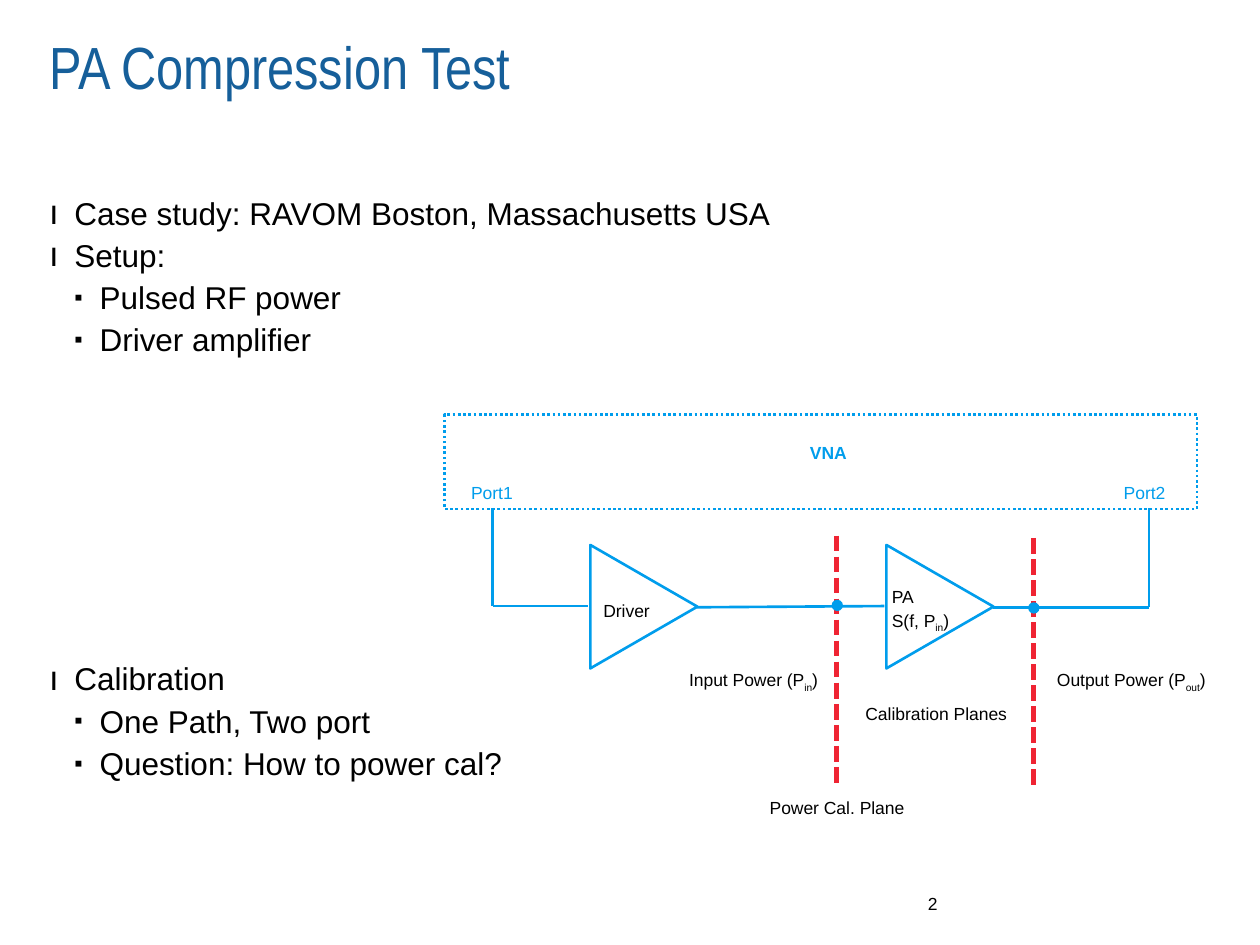
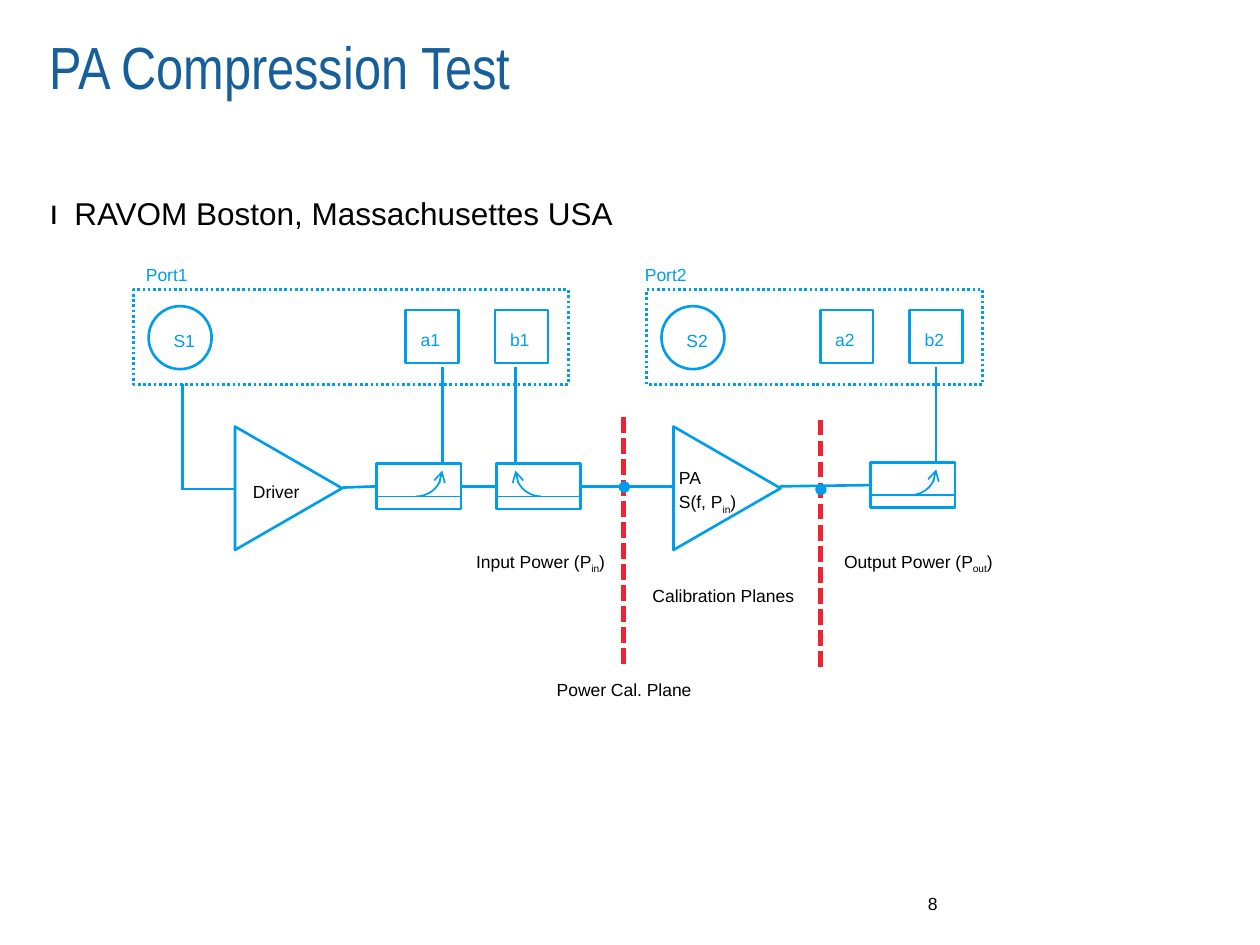
from dataclasses import dataclass

from lxml import etree
from pptx import Presentation
from pptx.dml.color import RGBColor
from pptx.enum.dml import MSO_LINE_DASH_STYLE
from pptx.enum.shapes import MSO_CONNECTOR, MSO_SHAPE
from pptx.enum.text import MSO_ANCHOR, MSO_AUTO_SIZE, PP_ALIGN
from pptx.oxml.ns import qn
from pptx.shapes.autoshape import Shape
from pptx.shapes.connector import Connector
from pptx.slide import Slide
from pptx.text.text import TextFrame
from pptx.util import Inches, Pt

# Shared style
BLUE, RED, NAVY = "009DEC", "EF2433", "165F9A"
BLACK, WHITE = "000000", "FFFFFF"
BODY_FONT, TITLE_FONT = "Arial", "Arial Narrow"
LINE_SPACING = 1.12
DOTTED = MSO_LINE_DASH_STYLE.ROUND_DOT
DASHED = MSO_LINE_DASH_STYLE.SQUARE_DOT
STRAIGHT = MSO_CONNECTOR.STRAIGHT
RECTANGLE, ELLIPSE = MSO_SHAPE.RECTANGLE, MSO_SHAPE.OVAL
TRIANGLE, ARC = MSO_SHAPE.ISOSCELES_TRIANGLE, MSO_SHAPE.ARC
TOP, RIGHT_ALIGN, LEFT_ALIGN = MSO_ANCHOR.TOP, PP_ALIGN.RIGHT, PP_ALIGN.LEFT
NO_AUTOFIT = MSO_AUTO_SIZE.NONE
LEFT_SIDE, RIGHT_SIDE = 1, 3

# Bullet character and size in percent for each list level
BULLETS = (("ı", 110), ("▪", 75))
INDENT = 0.2


@dataclass(frozen=True)
class ListItem:
    text: str
    level: int = 0
    gap_before: float = 0


@dataclass(frozen=True)
class Label:
    text: str
    left: float
    top: float
    width: float
    height: float = 0.28
    color: str = BLACK
    bold: bool = False
    subscript: str = ""


@dataclass(frozen=True)
class Port:
    number: int
    left: float
    width: float
    label_left: float


@dataclass(frozen=True)
class Coupler:
    left: float
    top: float
    mirrored: bool = False


def rgb(color: str) -> RGBColor:
    return RGBColor.from_string(color)


def format_runs(frame: TextFrame, size: float, color: str,
                font: str = BODY_FONT, bold: bool = False) -> None:
    for paragraph in frame.paragraphs:
        for run in paragraph.runs:
            run.font.name = font
            run.font.size = Pt(size)
            run.font.bold = bold
            run.font.color.rgb = rgb(color)


def set_margins(frame: TextFrame) -> None:
    frame.margin_left = frame.margin_right = 0
    frame.margin_top = frame.margin_bottom = 0


def place_placeholder(shape: Shape, top: float, height: float) -> TextFrame:
    shape.left, shape.top = Inches(0.39), Inches(top)
    shape.width, shape.height = Inches(9.06), Inches(height)
    frame = shape.text_frame
    set_margins(frame)
    frame.vertical_anchor = TOP
    frame.auto_size = NO_AUTOFIT
    return frame


def add_page(deck: Presentation, items: list[ListItem], number: int) -> Slide:
    slide = deck.slides.add_slide(deck.slide_layouts[1])

    # Title
    title = place_placeholder(slide.shapes.title, 0.24, 1.18)
    title.text = "PA Compression Test"
    title.paragraphs[0].alignment = LEFT_ALIGN
    format_runs(title, 34, NAVY, TITLE_FONT)

    # Bullet list
    body = place_placeholder(slide.placeholders[1], 1.5, 5.12)
    body.text = "\n".join(item.text for item in items)
    for paragraph, item in zip(body.paragraphs, items):
        paragraph.level = item.level
        paragraph.line_spacing = LINE_SPACING
        paragraph.space_before = Pt(item.gap_before)
        paragraph.space_after = Pt(0)
        character, percent = BULLETS[item.level]
        properties = paragraph._p.get_or_add_pPr()
        properties.set("marL", str(Inches(INDENT * (item.level + 1))))
        properties.set("indent", str(Inches(-INDENT)))
        etree.SubElement(properties, qn("a:buSzPct"), val=str(percent * 1000))
        etree.SubElement(properties, qn("a:buFont"), typeface=BODY_FONT)
        etree.SubElement(properties, qn("a:buChar"), char=character)
    format_runs(body, 18, BLACK)

    # Page number
    page = slide.shapes.add_textbox(
        Inches(6.89), Inches(7.09), Inches(0.55), Inches(0.2)).text_frame
    set_margins(page)
    page.word_wrap = True
    page.text = str(number)
    page.paragraphs[0].alignment = RIGHT_ALIGN
    format_runs(page, 10, BLACK)
    return slide


def add_label(slide: Slide, label: Label) -> None:
    frame = slide.shapes.add_textbox(
        Inches(label.left), Inches(label.top),
        Inches(label.width), Inches(label.height)).text_frame
    frame.word_wrap = True
    paragraph = frame.paragraphs[0]
    paragraph.text = label.text
    paragraph.line_spacing = LINE_SPACING
    paragraph.space_after = Pt(6)
    for line_break in paragraph._p.findall(qn("a:br")):
        etree.SubElement(line_break, qn("a:rPr"), sz="1000")
    if label.subscript:
        lowered, closing = paragraph.add_run(), paragraph.add_run()
        lowered.text, closing.text = label.subscript, ")"
        lowered.font._element.set("baseline", "-25000")
    format_runs(frame, 10, label.color, bold=label.bold)


def add_outline(slide: Slide, kind: MSO_SHAPE, left: float, top: float,
                width: float, height: float, fill: str | None = None,
                line: str | None = BLUE, weight: float = 1.5,
                dash: MSO_LINE_DASH_STYLE | None = None) -> Shape:
    shape = slide.shapes.add_shape(
        kind, Inches(left), Inches(top), Inches(width), Inches(height))
    shape.shadow.inherit = False
    if fill:
        shape.fill.solid()
        shape.fill.fore_color.rgb = rgb(fill)
    else:
        shape.fill.background()
    if line:
        shape.line.color.rgb = rgb(line)
        shape.line.width = Pt(weight)
        shape.line.dash_style = dash
    else:
        shape.line.fill.background()
    return shape


def add_wire(slide: Slide, x1: float, y1: float, x2: float, y2: float,
             color: str = BLUE, weight: float = 1.5,
             dash: MSO_LINE_DASH_STYLE | None = None) -> Connector:
    wire = slide.shapes.add_connector(
        STRAIGHT, Inches(x1), Inches(y1), Inches(x2), Inches(y2))
    wire.line.color.rgb = rgb(color)
    wire.line.width = Pt(weight)
    wire.line.dash_style = dash
    etree.SubElement(wire._element.spPr, qn("a:effectLst"))
    return wire


def add_amplifier(slide: Slide, left: float, top: float, label: Label) -> None:
    add_outline(slide, TRIANGLE, left, top, 0.98, 0.85, fill=WHITE).rotation = 90
    add_label(slide, label)


def add_driver(slide: Slide, left: float, top: float, label_left: float) -> None:
    add_amplifier(slide, left, top,
                  Label("Driver", label_left, top + 0.3, 0.7, 0.24))


def add_pa_stage(slide: Slide, x: float, y: float) -> None:
    """Draw the PA and its planes; x, y is the top of the input plane."""
    add_amplifier(slide, x + 0.33, y + 0.14,
                  Label("PA\nS(f, P", x + 0.34, y + 0.33, 0.81, 0.48,
                        subscript="in"))
    for plane_x, plane_y in ((x, y), (x + 1.56, y + 0.02)):
        add_wire(slide, plane_x, plane_y, plane_x, plane_y + 1.99, RED, 3, DASHED)
        add_outline(slide, ELLIPSE, plane_x - 0.04, plane_y + 0.51, 0.09, 0.09,
                    fill=BLUE, line=None)
    for label in (
        Label("Input Power (P", x - 1.27, y + 0.99, 1.28, subscript="in"),
        Label("Output Power (P", x + 1.65, y + 0.99, 1.68, subscript="out"),
        Label("Calibration Planes", x + 0.13, y + 1.26, 1.39),
        Label("Power Cal. Plane", x - 0.63, y + 2.01, 1.28),
    ):
        add_label(slide, label)


def add_port(slide: Slide, port: Port) -> None:
    add_outline(slide, RECTANGLE, port.left, 2.3, port.width, 0.75, dash=DOTTED)
    add_label(slide, Label(f"Port{port.number}", port.label_left, 2.03, 0.61,
                           color=BLUE))
    source_left = port.left + 0.12
    add_outline(slide, ELLIPSE, source_left, 2.43, 0.5, 0.5)
    add_label(slide, Label(f"S{port.number}", source_left + 0.1, 2.55, 0.4,
                           color=BLUE))
    for wave, from_right in (("a", 1.29), ("b", 0.58)):
        left = port.left + port.width - from_right
        add_outline(slide, RECTANGLE, left, 2.46, 0.42, 0.42)
        add_label(slide, Label(f"{wave}{port.number}", left + 0.02, 2.54, 0.4,
                               color=BLUE))


def add_coupler(slide: Slide, coupler: Coupler) -> Shape:
    left, top, width, arc_size = coupler.left, coupler.top, 0.67, 0.41
    box = add_outline(slide, RECTANGLE, left, top, width, 0.36)
    add_wire(slide, left, top + 0.26, left + width, top + 0.26, weight=1)
    arc_offset = width - 0.11 - arc_size if coupler.mirrored else 0.11
    arc = add_outline(slide, ARC, left + arc_offset, top - 0.15,
                      arc_size, arc_size, weight=1)
    frame = arc._element.spPr.xfrm
    frame.set("flipV", "1")
    if coupler.mirrored:
        frame.set("flipH", "1")
    etree.SubElement(arc._element.spPr.find(qn("a:ln")), qn("a:tailEnd"),
                     type="arrow")
    return box


def build_setup(deck: Presentation) -> None:
    slide = add_page(deck, [
        ListItem("Case study: RAVOM Boston, Massachusetts USA"),
        ListItem("Setup:"),
        ListItem("Pulsed RF power", 1),
        ListItem("Driver amplifier", 1),
        ListItem("Calibration", gap_before=169.5),
        ListItem("One Path, Two port", 1),
        ListItem("Question: How to power cal?", 1),
    ], 2)

    # Analyzer with its two ports
    add_outline(slide, RECTANGLE, 3.53, 3.29, 5.97, 0.75, dash=DOTTED)
    add_label(slide, Label("VNA", 6.33, 3.44, 0.61, color=BLUE, bold=True))
    for name, left in (("Port1", 3.64), ("Port2", 8.82)):
        add_label(slide, Label(name, left, 3.76, 0.61, color=BLUE))

    # Signal chain from port 1 to port 2
    for ends in ((3.91, 4.03, 3.91, 4.81), (3.91, 4.81, 4.67, 4.81),
                 (5.53, 4.82, 7.02, 4.81), (7.88, 4.82, 9.12, 4.82),
                 (9.12, 4.03, 9.12, 4.82)):
        add_wire(slide, *ends)
    add_driver(slide, 4.62, 4.39, 4.69)
    add_pa_stage(slide, 6.64, 4.25)


def build_couplers(deck: Presentation) -> None:
    slide = add_page(
        deck, [ListItem("RAVOM Boston, Massachusettes USA")], 8)

    for port in (Port(1, 1.06, 3.45, 1.06), Port(2, 5.13, 2.67, 5.02)):
        add_port(slide, port)
    forward, reverse, output = (
        add_coupler(slide, coupler) for coupler in (
            Coupler(2.99, 3.68), Coupler(3.94, 3.68, True), Coupler(6.91, 3.67)))

    # Source and receiver wires
    for ends in ((1.45, 3.05, 1.45, 3.88), (1.44, 3.88, 1.87, 3.88),
                 (3.51, 2.91, 3.51, 3.67), (4.09, 2.91, 4.09, 3.67),
                 (7.43, 2.91, 7.43, 3.67)):
        add_wire(slide, *ends)

    # Signal chain through the couplers
    add_wire(slide, 2.72, 3.87, 2.99, 3.86).end_connect(forward, LEFT_SIDE)
    link = add_wire(slide, 3.66, 3.86, 3.94, 3.86)
    link.begin_connect(forward, RIGHT_SIDE)
    link.end_connect(reverse, LEFT_SIDE)
    add_wire(slide, 4.61, 3.86, 5.33, 3.86).begin_connect(reverse, RIGHT_SIDE)
    add_wire(slide, 6.19, 3.86, 6.91, 3.85).end_connect(output, LEFT_SIDE)
    add_driver(slide, 1.8, 3.45, 1.91)
    add_pa_stage(slide, 4.95, 3.31)


def main() -> None:
    deck = Presentation()
    deck.slide_width, deck.slide_height = Inches(10), Inches(7.5)
    build_setup(deck)
    build_couplers(deck)
    deck.save("out.pptx")


if __name__ == "__main__":
    main()
